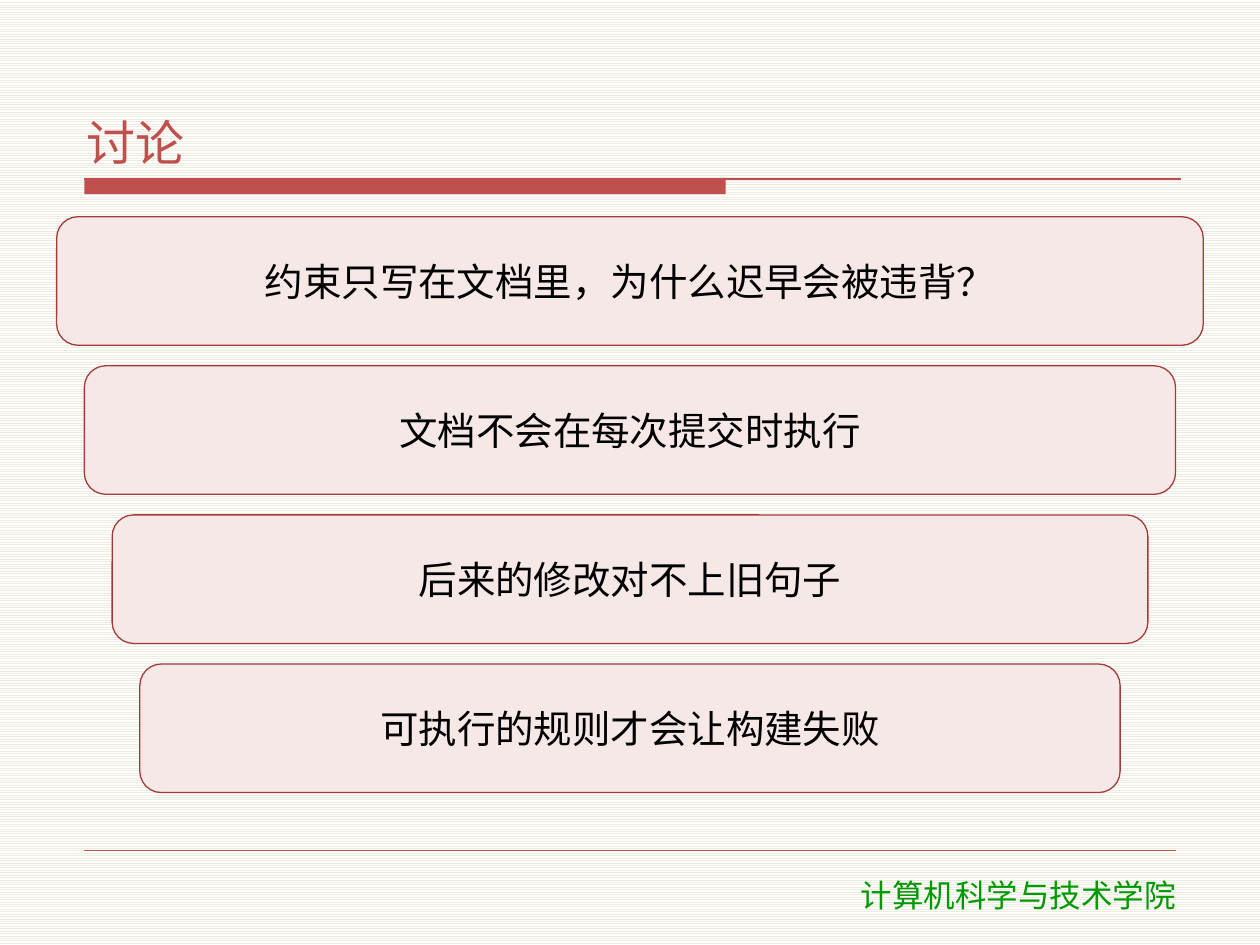
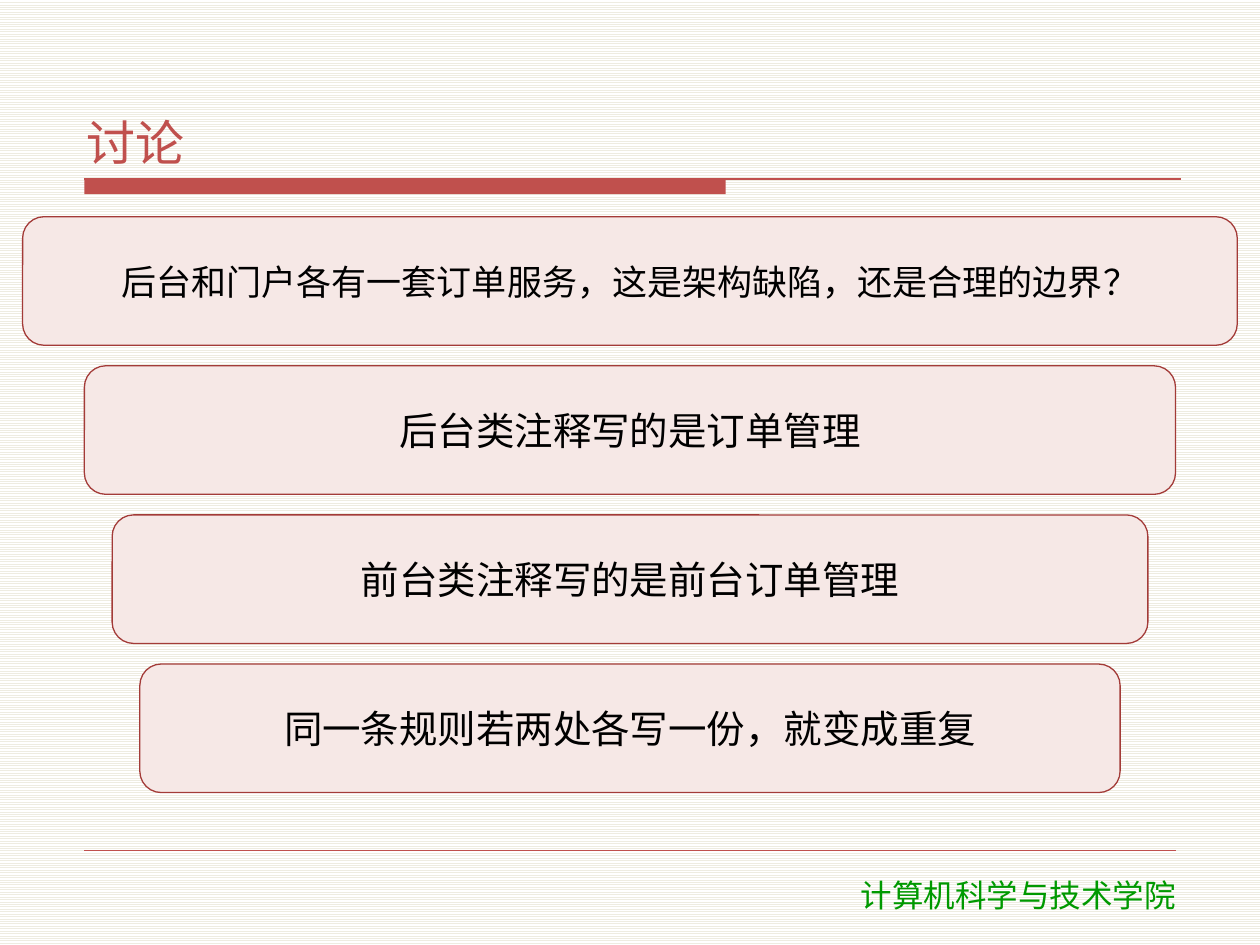
from lxml import etree
from pptx import Presentation
from pptx.dml.color import RGBColor
from pptx.enum.dml import MSO_PATTERN
from pptx.enum.shapes import MSO_CONNECTOR, MSO_SHAPE
from pptx.enum.text import MSO_ANCHOR as Anchor, MSO_AUTO_SIZE, PP_ALIGN as Align
from pptx.oxml.ns import qn
from pptx.util import Inches, Pt

SLIDE_WIDTH, SLIDE_HEIGHT = 10, 7.5
RULE_LEFT, RULE_TOP = 0.67, 1.42
CARD_TOP, CARD_BOTTOM, CARD_HEIGHT = 1.72, 6.29, 1.02
CARD_LEFT, CARD_INDENT = 0.45, 0.22

# Each discussion: the question, then its points
DISCUSSIONS = [
    ["约束只写在文档里，为什么迟早会被违背？",
     "文档不会在每次提交时执行",
     "后来的修改对不上旧句子",
     "可执行的规则才会让构建失败"],
    ["后台和门户各有一套订单服务，这是架构缺陷，还是合理的边界？",
     "后台类注释写的是订单管理",
     "前台类注释写的是前台订单管理",
     "同一条规则若两处各写一份，就变成重复"],
]
LONG_QUESTION = 25  # characters that need the wide card


def color(hex_value):
    return RGBColor.from_string(hex_value)


class Deck:
    ACCENT, CARD_FILL, CARD_LINE = "C0504D", "F6E8E6", "A33B38"
    INK, FOOTER = "000000", "009900"
    STRIPE, PAPER = "EEECE1", "FFFFFF"
    FONT, FOOTER_FONT = "Noto Sans CJK SC", "DejaVu Sans"

    def __init__(self):
        self.prs = Presentation()
        self.prs.slide_width = Inches(SLIDE_WIDTH)
        self.prs.slide_height = Inches(SLIDE_HEIGHT)
        self.slide = None

    def new_slide(self, heading):
        self.slide = self.prs.slides.add_slide(self.prs.slide_layouts[6])
        # Striped background
        stripes = self.slide.background.fill
        stripes.patterned()
        stripes.pattern = MSO_PATTERN.LIGHT_HORIZONTAL
        stripes.fore_color.rgb = color(self.STRIPE)
        stripes.back_color.rgb = color(self.PAPER)
        # Band and rule under the title
        self.shape(MSO_SHAPE.RECTANGLE, RULE_LEFT, RULE_TOP, 5.09, 0.12, self.ACCENT)
        self.rule(RULE_LEFT, RULE_TOP, 9.37, 0.75)
        # Footer
        self.rule(RULE_LEFT, 6.75, SLIDE_WIDTH - RULE_LEFT, 0.25)
        school = self.text_box(6.07, 6.9, 4.02, 0.4)
        self.set_text(school, "计算机科学与技术学院", 18, self.FOOTER, Align.CENTER,
                      font=self.FOOTER_FONT, inset=(0.1, 0.05), after=0)
        school.text_frame.auto_size = MSO_AUTO_SIZE.SHAPE_TO_FIT_TEXT
        # Title
        title = self.text_box(0.63, 0.33, 8.75, 1.05)
        self.set_text(title, heading, 28, self.ACCENT, Align.LEFT, Anchor.BOTTOM)

    def text_box(self, left, top, width, height):
        return self.slide.shapes.add_textbox(
            Inches(left), Inches(top), Inches(width), Inches(height))

    def shape(self, kind, left, top, width, height, fill, line=None):
        shape = self.slide.shapes.add_shape(
            kind, Inches(left), Inches(top), Inches(width), Inches(height))
        shape.shadow.inherit = False
        shape.fill.solid()
        shape.fill.fore_color.rgb = color(fill)
        if line:
            shape.line.color.rgb = color(line)
            shape.line.width = Pt(0.75)
        else:
            shape.line.fill.background()
        return shape

    def rule(self, left, top, right, weight):
        rule = self.slide.shapes.add_connector(
            MSO_CONNECTOR.STRAIGHT, Inches(left), Inches(top), Inches(right), Inches(top))
        rule.line.color.rgb = color(self.ACCENT)
        rule.line.width = Pt(weight)
        etree.SubElement(rule._element.spPr, qn("a:effectLst"))

    def card(self, left, top, text, size=22, side_inset=0.06):
        card = self.shape(MSO_SHAPE.ROUNDED_RECTANGLE, left, top,
                          SLIDE_WIDTH - 2 * left, CARD_HEIGHT,
                          self.CARD_FILL, self.CARD_LINE)
        self.set_text(card, text, size, self.INK, Align.CENTER, Anchor.MIDDLE,
                      inset=(side_inset, 0.02))

    def set_text(self, shape, text, size, ink, align, anchor=Anchor.TOP,
                 font=FONT, inset=(0.06, 0.02), after=2):
        frame = shape.text_frame
        frame.text = text
        frame.word_wrap = True
        frame.vertical_anchor = anchor
        frame.margin_left = frame.margin_right = Inches(inset[0])
        frame.margin_top = frame.margin_bottom = Inches(inset[1])
        paragraph = frame.paragraphs[0]
        paragraph.alignment = align
        paragraph.space_after = Pt(after)
        run = paragraph.runs[0]
        run.font.size = Pt(size)
        run.font.color.rgb = color(ink)
        run.font.name = font
        # Chinese characters take the East Asian font
        etree.SubElement(run.font._element, qn("a:ea")).set("typeface", font)


def main():
    deck = Deck()
    for points in DISCUSSIONS:
        deck.new_slide("讨论")
        # Cards spread evenly and narrow step by step down the slide
        step = (CARD_BOTTOM - CARD_TOP - CARD_HEIGHT) / (len(points) - 1)
        for row, point in enumerate(points):
            top = CARD_TOP + row * step
            if len(point) > LONG_QUESTION:
                deck.card(0.18, top, point, size=20, side_inset=0.02)
            else:
                deck.card(CARD_LEFT + row * CARD_INDENT, top, point)
    deck.prs.save("out.pptx")


if __name__ == "__main__":
    main()
